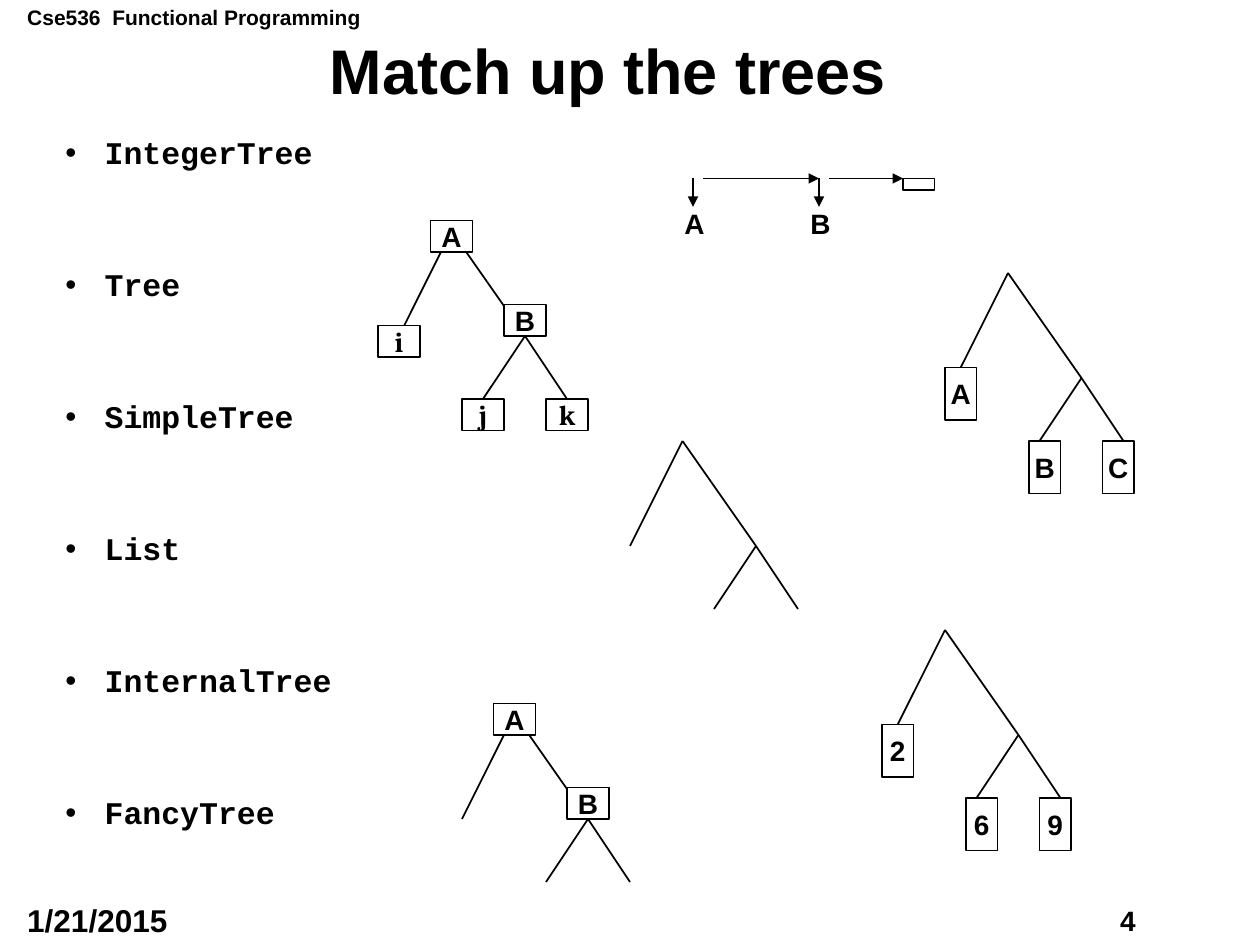
import pptx
import pptx.dml.color
import pptx.enum.shapes
import pptx.enum.text
import pptx.oxml
import pptx.oxml.ns
import pptx.util
from lxml import etree

ANCHOR = pptx.enum.text.MSO_ANCHOR
ALIGN = pptx.enum.text.PP_ALIGN
STRAIGHT = pptx.enum.shapes.MSO_CONNECTOR.STRAIGHT
RECTANGLE = pptx.enum.shapes.MSO_SHAPE.RECTANGLE

CELL = 2.54 / 12  # the drawings sit on a grid of twelve cells to the inch
TOP, BOTTOM = 0, 2

# Branches and boxes are measured in cells from the root of each tree.
BRANCHES = [((0, 0), (-5, 10)), ((0, 0), (7, 10)),
            ((7, 10), (3, 16)), ((7, 10), (11, 16))]
TALL_LEAVES = [(-6, 9), (2, 16), (9, 16)]
INNER_NODES = [(-2, -1), (5, 7)]
WIDE_LEAVES = [(-7, 9), (1, 16), (9, 16)]
TALL, WIDE = (3, 5), (4, 3)


def grid(cells):
    return pptx.util.Cm(cells * CELL)


def color(value):
    return pptx.dml.color.RGBColor.from_string(value)


def add_element(parent, tag, **attributes):
    element = etree.SubElement(parent, pptx.oxml.ns.qn(tag))
    for name, value in attributes.items():
        element.set(name, value)
    return element


def boxes(labels, places, size, font="Arial"):
    return [(label, place, size, font) for label, place in zip(labels, places)]


class Drawing:
    ink = "000000"
    paper = "FFFFFF"
    line_width = pptx.util.Pt(1)

    def __init__(self, slide):
        self.slide = slide

    def set_text(self, paragraph, text, size, font="Arial", **formats):
        """Fill a paragraph with bold text; formats are paragraph attributes."""
        paragraph.text = text
        for name, value in formats.items():
            setattr(paragraph, name, value)
        style = {"name": font, "size": pptx.util.Pt(size), "bold": True}
        for name, value in style.items():
            setattr(paragraph.font, name, value)
        paragraph.font.color.rgb = color(self.ink)

    def frame(self, shapes, left, top, width, height, **formats):
        """Add a text box, in centimetres, and return its text frame."""
        box = shapes.add_textbox(*map(pptx.util.Cm, (left, top, width, height)))
        for name, value in formats.items():
            setattr(box.text_frame, name, value)
        return box.text_frame

    def label(self, text, size, left, top, width, height, shapes=None):
        frame = self.frame(shapes or self.slide.shapes, left, top, width, height,
                           word_wrap=False)
        self.set_text(frame.paragraphs[0], text, size)

    def title(self, text):
        frame = self.frame(self.slide.shapes, 0.79, 0.79, 22.94, 1.42,
                           word_wrap=True, vertical_anchor=ANCHOR.MIDDLE)
        self.set_text(frame.paragraphs[0], text, 36,
                      alignment=ALIGN.CENTER, line_spacing=0.9)

    def bullets(self, items):
        frame = self.frame(self.slide.shapes, 1.07, 2.64, 11.13, 15.14,
                           word_wrap=True)
        for index, item in enumerate(items):
            paragraph = frame.paragraphs[0] if index == 0 else frame.add_paragraph()
            properties = paragraph._p.get_or_add_pPr()
            indent = pptx.util.Cm(0.79)
            properties.set("marL", str(indent))
            properties.set("indent", str(-indent))
            add_element(properties, "a:buFont", typeface="Arial")
            add_element(properties, "a:buChar", char="•")
            self.set_text(paragraph, item, 18, "Courier New", line_spacing=0.9,
                          space_before=pptx.util.Pt(56 if index else 0))

    def line(self, shapes, start, end, arrow=False):
        connector = shapes.add_connector(STRAIGHT, *map(grid, (*start, *end)))
        connector.line.width = self.line_width
        connector.line.color.rgb = color(self.ink)
        if arrow:
            add_element(connector.line._get_or_add_ln(), "a:tailEnd", type="triangle")
        add_element(connector._element.spPr, "a:effectLst")
        return connector

    def box(self, shapes, place, size, text="", font="Arial"):
        shape = shapes.add_shape(RECTANGLE, *map(grid, (*place, *size)))
        shape.shadow.inherit = False
        shape.fill.solid()
        shape.fill.fore_color.rgb = color(self.paper)
        shape.line.color.rgb = color(self.ink)
        shape.line.width = self.line_width
        if text:
            shape.text_frame.word_wrap = False
            shape.text_frame.vertical_anchor = ANCHOR.MIDDLE
            self.set_text(shape.text_frame.paragraphs[0], text, 16, font,
                          alignment=ALIGN.CENTER)
        return shape

    def tree(self, root, nodes=()):
        """Draw branches behind nodes, joining those that meet mid-side."""
        shapes = self.slide.shapes.add_group_shape().shapes

        def from_root(point):
            return root[0] + point[0], root[1] + point[1]

        lines = [self.line(shapes, from_root(start), from_root(end))
                 for start, end in BRANCHES]
        sites = {}
        for text, (x, y), (width, height), font in nodes:
            shape = self.box(shapes, from_root((x, y)), (width, height), text, font)
            sites[x + width / 2, y] = shape, TOP
            sites[x + width / 2, y + height] = shape, BOTTOM
        for connector, (start, end) in zip(lines, BRANCHES):
            if start in sites:
                connector.begin_connect(*sites[start])
            if end in sites:
                connector.end_connect(*sites[end])

    def linked_list(self, left, top, labels):
        shapes = self.slide.shapes.add_group_shape().shapes
        step = 12
        end = left + 20
        for index, text in enumerate(labels):
            x = left + index * step
            self.line(shapes, (x, top), (x, top + 2.7), arrow=True)
            self.line(shapes, (x + 1, top), (min(x + step, end), top), arrow=True)
            self.label(text, 16, (x - 2) * CELL, (top + 2.1) * CELL, 0.91, 0.94,
                       shapes)
        self.box(shapes, (end, top), (3, 1.1))


def main():
    presentation = pptx.Presentation()
    presentation.slide_width = pptx.util.Cm(25.4)
    presentation.slide_height = pptx.util.Cm(19.05)
    drawing = Drawing(presentation.slides.add_slide(presentation.slide_layouts[6]))

    drawing.label("Cse536  Functional Programming", 12, 0.3, -0.03, 7.24, 0.76)
    drawing.label("4", 16, 22.33, 18.08, 1.19, 0.91)
    drawing.label("1/21/2015", 18, 0.3, 18.03, 3.68, 1.02)
    drawing.title("Match up the trees")
    drawing.bullets(["IntegerTree", "Tree", "SimpleTree",
                     "List", "InternalTree", "FancyTree"])

    inner = boxes("AB", INNER_NODES, WIDE)
    drawing.linked_list(66, 17, "AB")
    drawing.tree((96, 26), boxes("ABC", TALL_LEAVES, TALL))
    drawing.tree((90, 60), boxes("269", TALL_LEAVES, TALL))
    drawing.tree((65, 42))
    drawing.tree((49, 68), inner)
    drawing.tree((43, 22), inner + boxes("ijk", WIDE_LEAVES, WIDE, "Cambria"))

    presentation.save("out.pptx")


if __name__ == "__main__":
    main()
